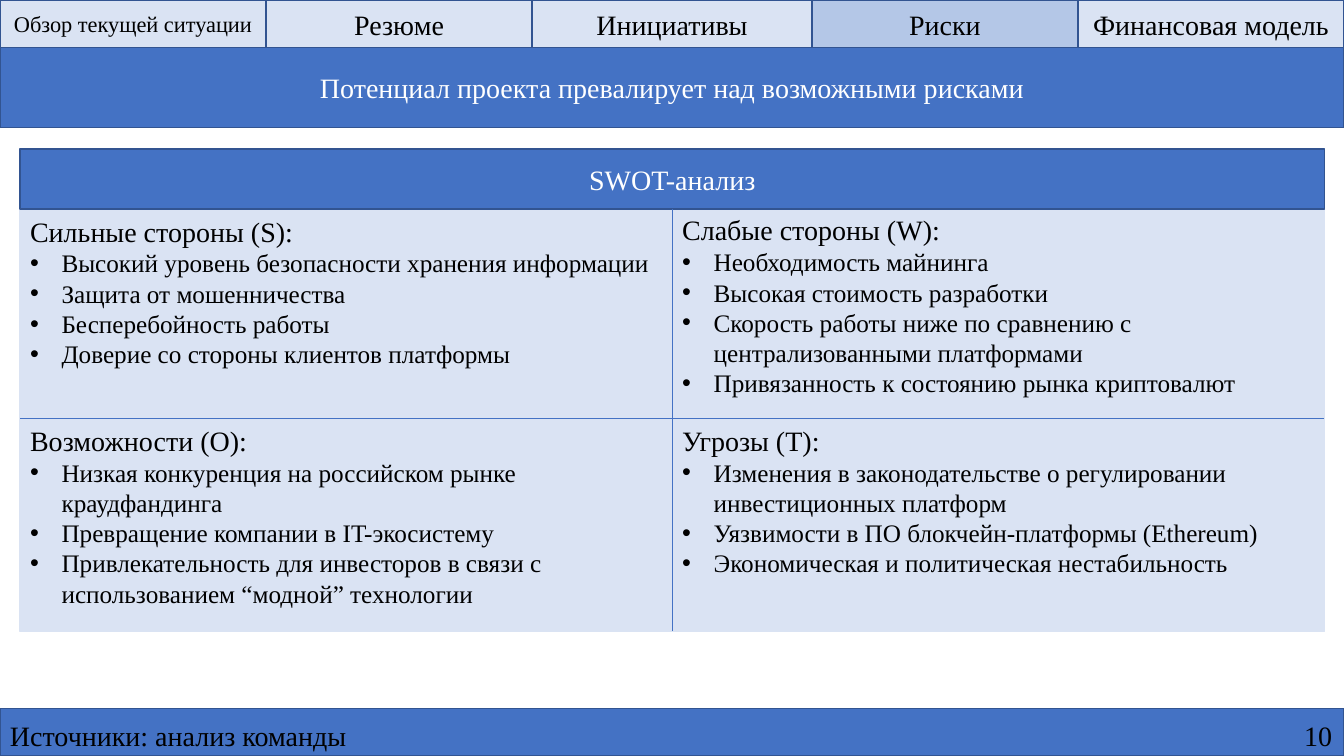
from pptx import Presentation
from pptx.dml.color import RGBColor
from pptx.enum.shapes import MSO_CONNECTOR as Connector, MSO_SHAPE as Shape
from pptx.enum.text import MSO_ANCHOR as Anchor, PP_ALIGN as Align
from pptx.oxml.ns import qn
from pptx.util import Pt
from lxml.etree import SubElement

BLUE = RGBColor(0x44, 0x72, 0xC4)
DARK_BLUE = RGBColor(0x32, 0x54, 0x91)
PALE_BLUE = RGBColor(0xDA, 0xE3, 0xF3)
ACTIVE_BLUE = RGBColor(0xB4, 0xC7, 0xE7)
BLACK = RGBColor(0, 0, 0)
WHITE = RGBColor(0xFF, 0xFF, 0xFF)

WIDTH, HEIGHT = 960, 540
TAB_HEIGHT = 34
BOARD_LEFT, BOARD_TOP, BOARD_WIDTH, BOARD_HEIGHT = 14.4, 106.4, 931.6, 344.6
HEADER_HEIGHT = 43
COLUMN_WIDTH = BOARD_WIDTH / 2
MIDDLE_X = BOARD_LEFT + COLUMN_WIDTH
MIDDLE_Y = 298.8
BODY_TOP = BOARD_TOP + HEADER_HEIGHT

TABS = [
    ("Обзор текущей ситуации", 190, 16),
    ("Резюме", 190, 20),
    ("Инициативы", 200, 20),
    ("Риски", 190, 20),
    ("Финансовая модель", 190, 20),
]
ACTIVE_TAB = "Риски"

QUADRANTS = [
    (BOARD_LEFT, BODY_TOP, "Сильные стороны (S):", [
        "Высокий уровень безопасности хранения информации",
        "Защита от мошенничества",
        "Бесперебойность работы",
        "Доверие со стороны клиентов платформы",
    ]),
    (MIDDLE_X, BODY_TOP - 0.8, "Слабые стороны (W):", [
        "Необходимость майнинга",
        "Высокая стоимость разработки",
        "Скорость работы ниже по сравнению с централизованными платформами",
        "Привязанность к состоянию рынка криптовалют",
    ]),
    (BOARD_LEFT, MIDDLE_Y, "Возможности (O):", [
        "Низкая конкуренция на российском рынке краудфандинга",
        "Превращение компании в IT-экосистему",
        "Привлекательность для инвесторов в связи с использованием “модной” технологии",
    ]),
    (MIDDLE_X, MIDDLE_Y, "Угрозы (T):", [
        "Изменения в законодательстве о регулировании инвестиционных платформ",
        "Уязвимости в ПО блокчейн-платформы (Ethereum)",
        "Экономическая и политическая нестабильность",
    ]),
]


class SlideBuilder:
    font_name = "Times New Roman"
    heading_size = 20
    bullet_size = 18
    bullet_indent = 22.5

    def __init__(self, slide):
        self.slide = slide

    def fill_paragraph(self, paragraph, text, size, color):
        paragraph.text = text
        paragraph.font.name = self.font_name
        paragraph.font.size = Pt(size)
        paragraph.font.color.rgb = color

    def box(self, left, top, width, height, fill, outline=DARK_BLUE,
            text="", size=heading_size, color=BLACK):
        shape = self.slide.shapes.add_shape(
            Shape.RECTANGLE, Pt(left), Pt(top), Pt(width), Pt(height))
        shape.shadow.inherit = False
        shape.fill.solid()
        shape.fill.fore_color.rgb = fill
        shape.line.color.rgb = outline
        shape.line.width = Pt(1)
        if text:
            frame = shape.text_frame
            frame.word_wrap = True
            frame.vertical_anchor = Anchor.MIDDLE
            paragraph = frame.paragraphs[0]
            paragraph.alignment = Align.CENTER
            self.fill_paragraph(paragraph, text, size, color)

    def line(self, x1, y1, x2, y2):
        connector = self.slide.shapes.add_connector(
            Connector.STRAIGHT, Pt(x1), Pt(y1), Pt(x2), Pt(y2))
        connector.line.color.rgb = BLUE
        connector.line.width = Pt(0.5)
        SubElement(connector._element.spPr, qn("a:effectLst"))

    def text(self, left, top, width, height, heading, bullets=()):
        frame = self.slide.shapes.add_textbox(
            Pt(left), Pt(top), Pt(width), Pt(height)).text_frame
        frame.word_wrap = True
        self.fill_paragraph(frame.paragraphs[0], heading,
                            self.heading_size, BLACK)
        for bullet in bullets:
            paragraph = frame.add_paragraph()
            self.fill_paragraph(paragraph, bullet, self.bullet_size, BLACK)
            self.add_bullet(paragraph)

    def add_bullet(self, paragraph):
        properties = paragraph._p.get_or_add_pPr()
        properties.set("marL", str(Pt(self.bullet_indent)))
        properties.set("indent", str(-Pt(self.bullet_indent)))
        # Bullet settings must precede the default run properties
        font = SubElement(properties, qn("a:buFont"), typeface="Arial")
        mark = SubElement(properties, qn("a:buChar"), char="•")
        properties.insert(0, font)
        properties.insert(1, mark)


def main():
    presentation = Presentation()
    presentation.slide_width = Pt(WIDTH)
    presentation.slide_height = Pt(HEIGHT)
    builder = SlideBuilder(
        presentation.slides.add_slide(presentation.slide_layouts[6]))

    # Footer
    builder.box(0, 506, WIDTH, 34, BLUE)
    builder.text(0, 510, 894, 31.5, "Источники: анализ команды")
    builder.text(924.5, 510, 35.5, 31.5, "10")

    # Title
    builder.box(0, TAB_HEIGHT, WIDTH, 57, BLUE,
                text="Потенциал проекта превалирует над возможными рисками",
                color=WHITE)

    # SWOT board
    builder.box(BOARD_LEFT, BOARD_TOP, BOARD_WIDTH, BOARD_HEIGHT,
                PALE_BLUE, PALE_BLUE)
    builder.box(BOARD_LEFT, BOARD_TOP, BOARD_WIDTH, HEADER_HEIGHT, BLUE,
                text="SWOT-анализ", color=WHITE)
    builder.line(MIDDLE_X, BODY_TOP, MIDDLE_X, BOARD_TOP + BOARD_HEIGHT)
    builder.line(BOARD_LEFT, MIDDLE_Y, BOARD_LEFT + BOARD_WIDTH, MIDDLE_Y)
    for left, top, heading, bullets in QUADRANTS:
        builder.text(left, top, COLUMN_WIDTH, 150, heading, bullets)

    # Navigation tabs
    left = 0
    for label, width, size in TABS:
        fill = ACTIVE_BLUE if label == ACTIVE_TAB else PALE_BLUE
        builder.box(left, 0, width, TAB_HEIGHT, fill, text=label, size=size)
        left += width

    presentation.save("out.pptx")


if __name__ == "__main__":
    main()
